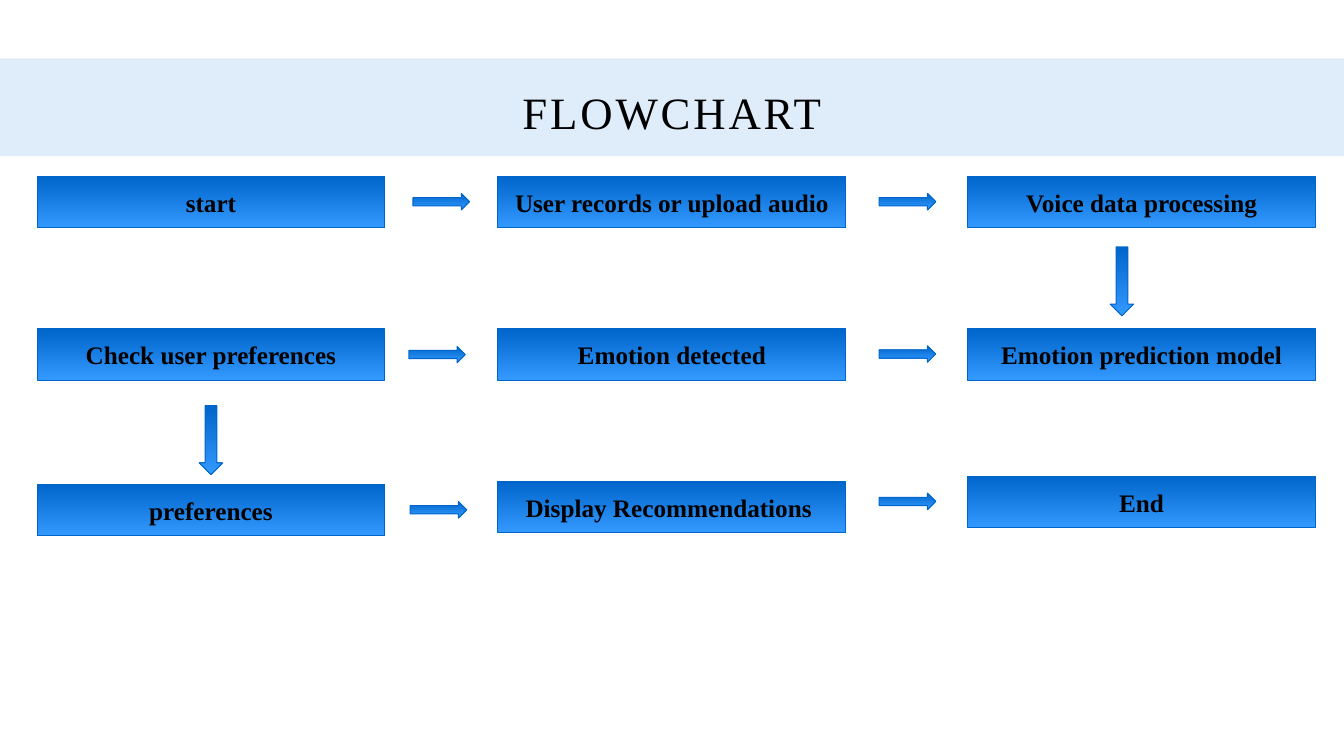
import lxml.etree
import pptx
import pptx.dml.color
import pptx.enum.shapes
import pptx.enum.text
import pptx.oxml.ns
import pptx.util

Pt = pptx.util.Pt
RGB = pptx.dml.color.RGBColor
SHAPE = pptx.enum.shapes.MSO_SHAPE
CENTER = pptx.enum.text.PP_ALIGN.CENTER
MIDDLE = pptx.enum.text.MSO_ANCHOR.MIDDLE

BLACK = RGB(0x00, 0x00, 0x00)
BAND_BLUE = RGB(0x2D, 0x8A, 0xE7)
DEEP_BLUE = RGB(0x00, 0x66, 0xCC)
LIGHT_BLUE = RGB(0x33, 0x99, 0xFF)

COLUMNS = (26.5, 355.7, 691.2)
STEP_SIZE = (248.4, 36.7)
RIGHT_SIZE = (40.4, 11.8)
DOWN_SIZE = (16.8, 49.2)

# Each row: text and top of every step, in column order
STEP_ROWS = (
    (("start", 126), ("User records or upload audio", 126),
     ("Voice data processing", 126)),
    (("Check user preferences", 234.9), ("Emotion detected", 234.9),
     ("Emotion prediction model", 234.9)),
    (("preferences", 346), ("Display Recommendations ", 343.9),
     ("End", 340.2)),
)
RIGHT_ARROWS = ((295, 138.2), (628, 138.2), (292, 247.4),
                (628, 247), (293, 358.3), (628, 352.3))
DOWN_ARROWS = ((793, 176.4), (142.3, 289.8))


class FlowchartSlide:
    TITLE_FONT = {"name": "Times New Roman", "size": Pt(32), "bold": False}
    STEP_FONT = {"name": "Times New Roman", "size": Pt(18), "bold": True}

    def __init__(self, presentation):
        self.slide = presentation.slides.add_slide(presentation.slide_layouts[5])

    def centered_text(self, frame, text, font_format):
        frame.vertical_anchor = MIDDLE
        paragraph = frame.paragraphs[0]
        paragraph.alignment = CENTER
        run = paragraph.add_run()
        run.text = text
        for attribute, value in font_format.items():
            setattr(run.font, attribute, value)
        run.font.color.rgb = BLACK
        return run

    def title(self, text, left, top, width, height):
        heading = self.slide.shapes.title
        place = {"left": left, "top": top, "width": width, "height": height}
        for attribute, value in place.items():
            setattr(heading, attribute, Pt(value))
        run = self.centered_text(heading.text_frame, text, self.TITLE_FONT)
        run.font._element.set("spc", "200")

    def shape(self, kind, left, top, size):
        shape = self.slide.shapes.add_shape(
            kind, Pt(left), Pt(top), *map(Pt, size))
        shape.shadow.inherit = False
        return shape

    def band(self, top, size):
        """Add a translucent strip behind everything else."""
        strip = self.shape(SHAPE.RECTANGLE, 0, top, size)
        strip.fill.solid()
        strip.fill.fore_color.rgb = BAND_BLUE
        strip.line.fill.background()
        qn = pptx.oxml.ns.qn
        color = strip._element.spPr.find(".//" + qn("a:srgbClr"))
        lxml.etree.SubElement(color, qn("a:alpha"), val="15000")
        self.slide.shapes._spTree.insert(2, strip._element)

    def gradient_shape(self, kind, left, top, size):
        shape = self.shape(kind, left, top, size)
        shape.fill.gradient()
        shape.fill.gradient_angle = 270
        for stop, color in zip(shape.fill.gradient_stops, (DEEP_BLUE, LIGHT_BLUE)):
            stop.color.rgb = color
        shape.line.color.rgb = DEEP_BLUE
        shape.line.width = Pt(0.75)
        return shape

    def step(self, text, left, top):
        box = self.gradient_shape(SHAPE.RECTANGLE, left, top, STEP_SIZE)
        box.text_frame.word_wrap = False
        self.centered_text(box.text_frame, text, self.STEP_FONT)


def main():
    presentation = pptx.Presentation()
    presentation.slide_width = Pt(960)
    presentation.slide_height = Pt(540)

    flowchart = FlowchartSlide(presentation)
    flowchart.title("FLOWCHART", 66, 51.1, 828, 57)
    flowchart.band(41.8, (960, 69.8))
    for row in STEP_ROWS:
        for left, (text, top) in zip(COLUMNS, row):
            flowchart.step(text, left, top)
    for left, top in RIGHT_ARROWS:
        flowchart.gradient_shape(SHAPE.RIGHT_ARROW, left, top, RIGHT_SIZE)
    for left, top in DOWN_ARROWS:
        flowchart.gradient_shape(SHAPE.DOWN_ARROW, left, top, DOWN_SIZE)

    presentation.save("out.pptx")


if __name__ == "__main__":
    main()
